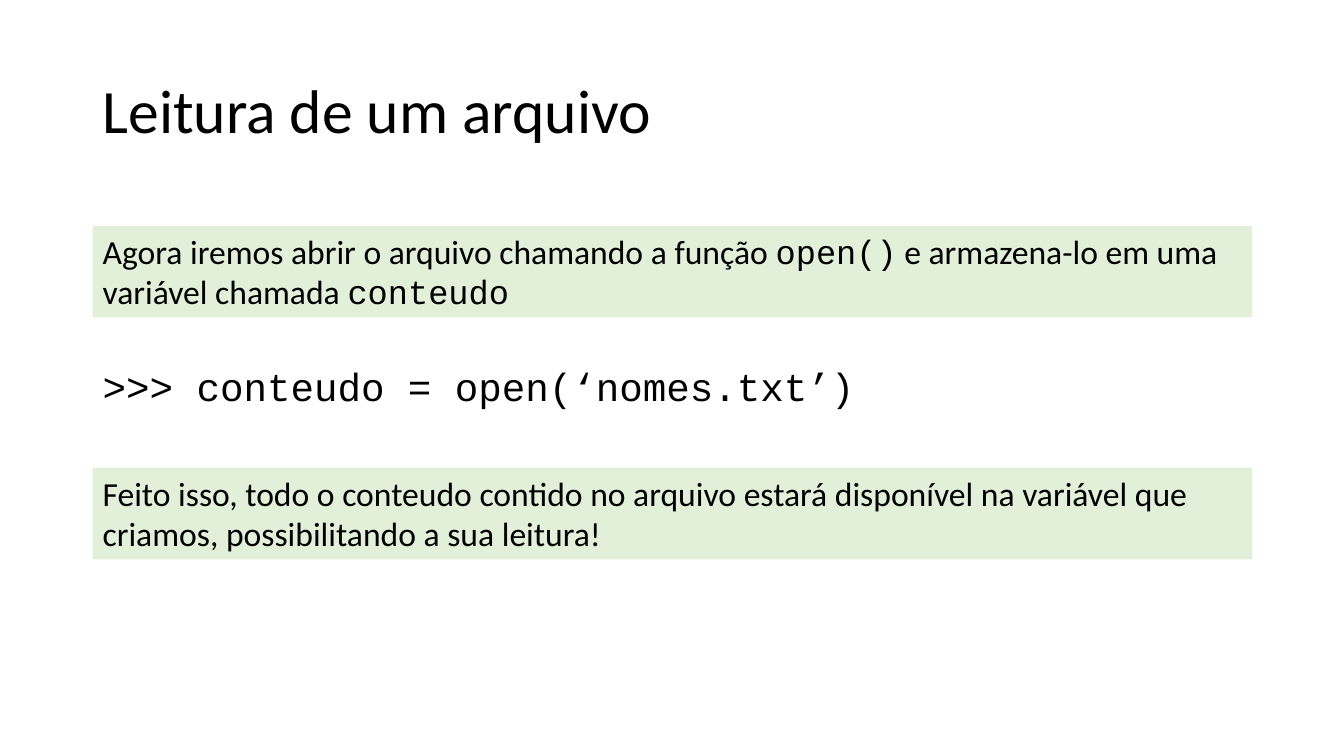
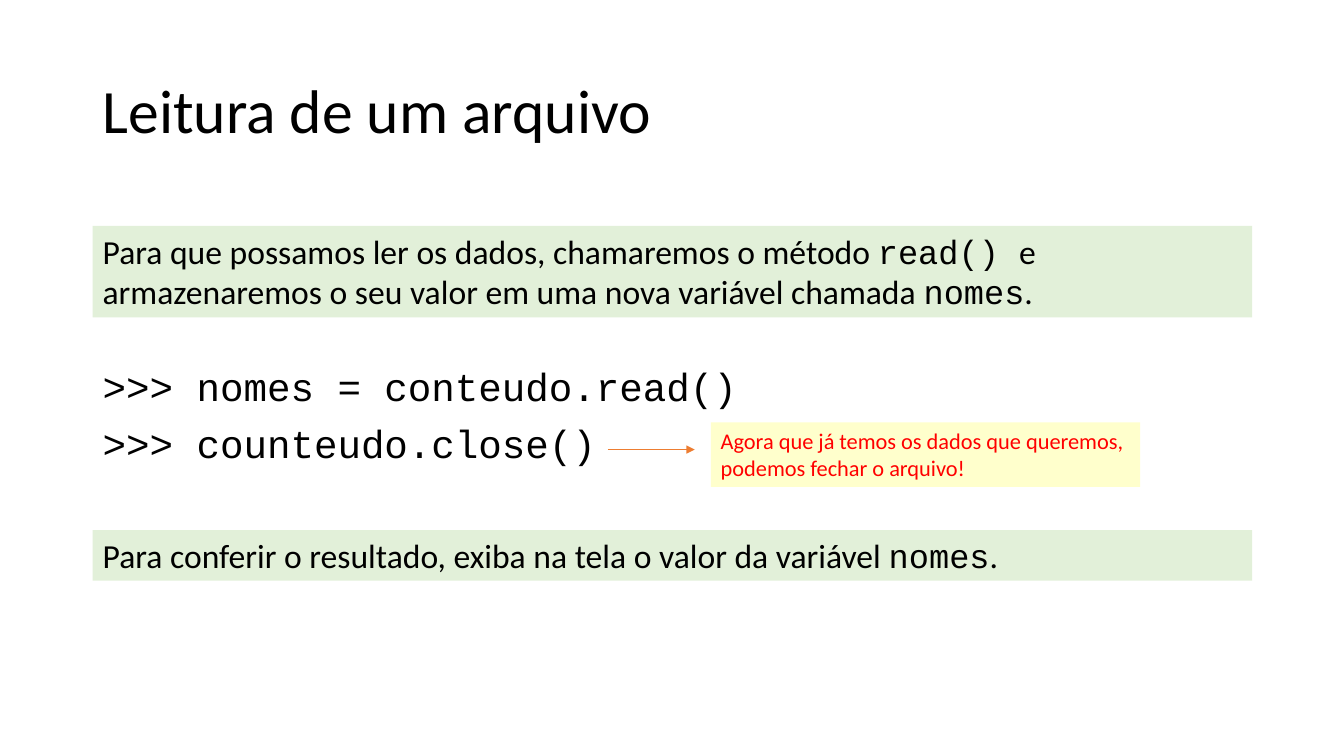
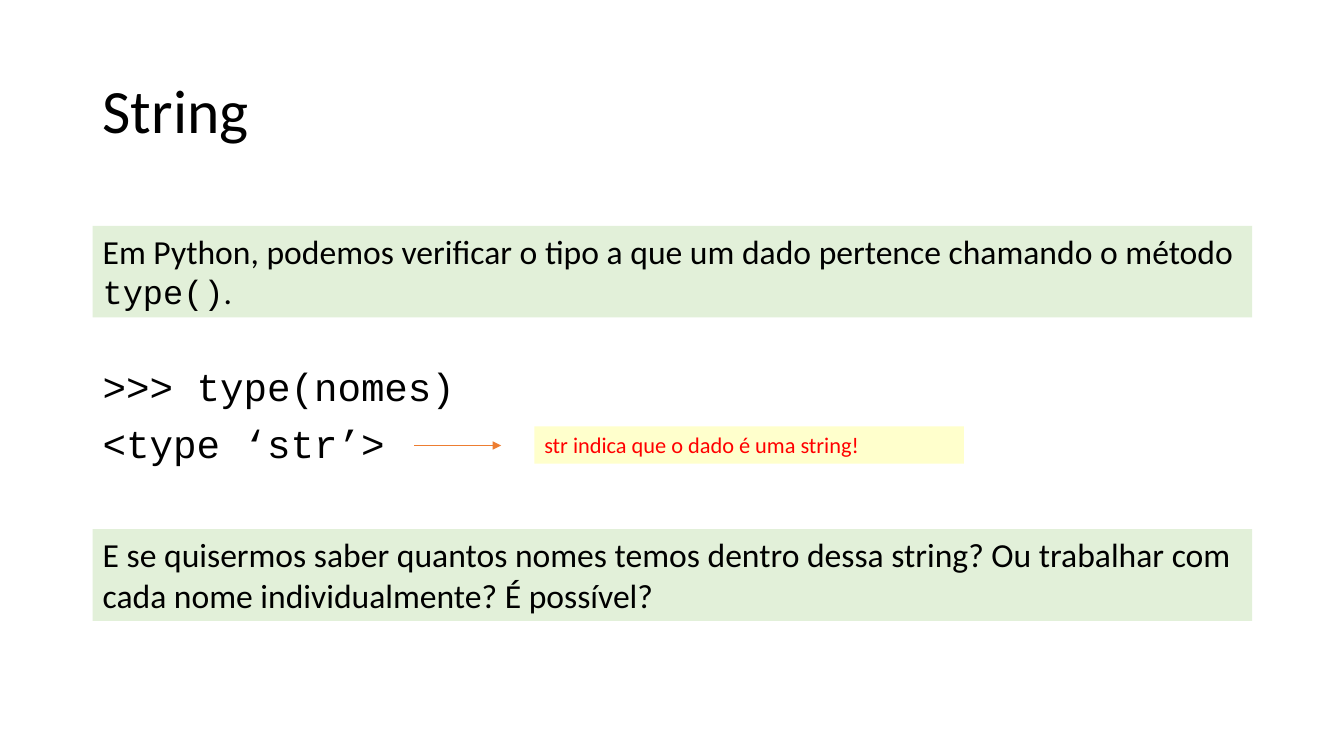
from lxml.etree import SubElement
from pptx import Presentation
from pptx.dml.color import RGBColor
from pptx.enum.shapes import MSO_CONNECTOR
from pptx.enum.text import MSO_ANCHOR, MSO_AUTO_SIZE
from pptx.oxml.ns import qn
from pptx.util import Emu, Pt

# Shared style
SCALE = 9144  # EMU per px, 100 px to the inch
TEXT_FONT, CODE_FONT = "Calibri", "Courier New"
BLACK, RED, ORANGE = "000000", "FF0000", "ED7D31"
GREEN, YELLOW = "E2F0D9", "FFFFCC"
LEFT, WIDTH = 92, 1150
INTRO_TOP, CODE_TOP = 224, 360
CODE_LINE = 72
BAND_HEIGHTS = {1: 50, 2: 91}
CALLOUT_WIDTH, CALLOUT_HEIGHTS = 426, {1: 37, 2: 64}
ARROW_LENGTH = 86


def px(length):
    return Emu(length * SCALE)


def color(value):
    return RGBColor.from_string(value)


def add_text(page, left, top, width, height, paragraphs, size,
             ink=BLACK, fonts=(TEXT_FONT, CODE_FONT), fill=None):
    """Each paragraph is a list of spans that take the fonts in turn."""
    box = page.shapes.add_textbox(px(left), px(top), px(width), px(height))
    frame = box.text_frame
    frame.word_wrap = True
    if fill:
        box.fill.solid()
        box.fill.fore_color.rgb = color(fill)
        frame.auto_size = MSO_AUTO_SIZE.SHAPE_TO_FIT_TEXT
    for index, spans in enumerate(paragraphs):
        para = frame.add_paragraph() if index else frame.paragraphs[0]
        for position, text in enumerate(spans):
            span = para.add_run()
            span.text = text
            span.font.name = fonts[position % len(fonts)]
            span.font.size = Pt(size)
            span.font.color.rgb = color(ink)
    return frame


def add_title(page, text):
    frame = add_text(page, LEFT, 40, WIDTH, 145, [[text]], 44)
    frame.vertical_anchor = MSO_ANCHOR.MIDDLE
    frame.paragraphs[0].line_spacing = 0.9


def add_code(page, lines):
    frame = add_text(page, LEFT, CODE_TOP, WIDTH, CODE_LINE * len(lines),
                     [[line] for line in lines], 28, fonts=(CODE_FONT,))
    for para in frame.paragraphs:
        para.line_spacing = 0.9
        para.space_before = Pt(10)


def add_band(page, top, spans, lines=2):
    add_text(page, LEFT, top, WIDTH, BAND_HEIGHTS[lines], [spans], 24, fill=GREEN)


def add_callout(page, left, top, text, lines):
    add_text(page, left, top, CALLOUT_WIDTH, CALLOUT_HEIGHTS[lines],
             [[text]], 16, ink=RED, fill=YELLOW)


def add_arrow(page, left, top):
    arrow = page.shapes.add_connector(MSO_CONNECTOR.STRAIGHT, px(left), px(top),
                                      px(left + ARROW_LENGTH), px(top))
    arrow.line.color.rgb = color(ORANGE)
    arrow.line.width = Pt(0.5)
    SubElement(arrow.line._get_or_add_ln(), qn("a:tailEnd"), type="triangle")
    SubElement(arrow._element.spPr, qn("a:effectLst"))


def add_page(deck, title, intro, code):
    page = deck.slides.add_slide(deck.slide_layouts[6])
    add_title(page, title)
    add_code(page, code)
    add_band(page, INTRO_TOP, intro)
    return page


def main():
    deck = Presentation()
    deck.slide_width, deck.slide_height = px(1333), px(750)

    # Opening the file
    page = add_page(
        deck, "Leitura de um arquivo",
        ["Agora iremos abrir o arquivo chamando a função ", "open()",
         " e armazena-lo em uma variável chamada ", "conteudo"],
        [">>> conteudo = open(‘nomes.txt’)"])
    add_band(page, 464, [
        "Feito isso, todo o conteudo contido no arquivo estará disponível na "
        "variável que criamos, possibilitando a sua leitura!"])

    # Reading and closing the file
    page = add_page(
        deck, "Leitura de um arquivo",
        ["Para que possamos ler os dados, chamaremos o método ", "read() ",
         "e armazenaremos o seu valor em uma nova variável chamada ", "nomes", "."],
        [">>> nomes = conteudo.read()", ">>> counteudo.close()"])
    add_band(page, 526, [
        "Para conferir o resultado, exiba na tela o valor da variável ",
        "nomes", "."], lines=1)
    add_callout(page, 705, 419, "Agora que já temos os dados que queremos, "
                "podemos fechar o arquivo!", lines=2)
    add_arrow(page, 603, 446)

    # Checking the type
    page = add_page(
        deck, "String",
        ["Em Python, podemos verificar o tipo a que um dado pertence "
         "chamando o método ", "type()", "."],
        [">>> type(nomes)", "<type ‘str’>"])
    add_band(page, 525, [
        "E se quisermos saber quantos nomes temos dentro dessa string? Ou "
        "trabalhar com cada nome individualmente? É possível?"])
    add_callout(page, 530, 423, "str indica que o dado é uma string!", lines=1)
    add_arrow(page, 411, 442)

    deck.save("out.pptx")


if __name__ == "__main__":
    main()
